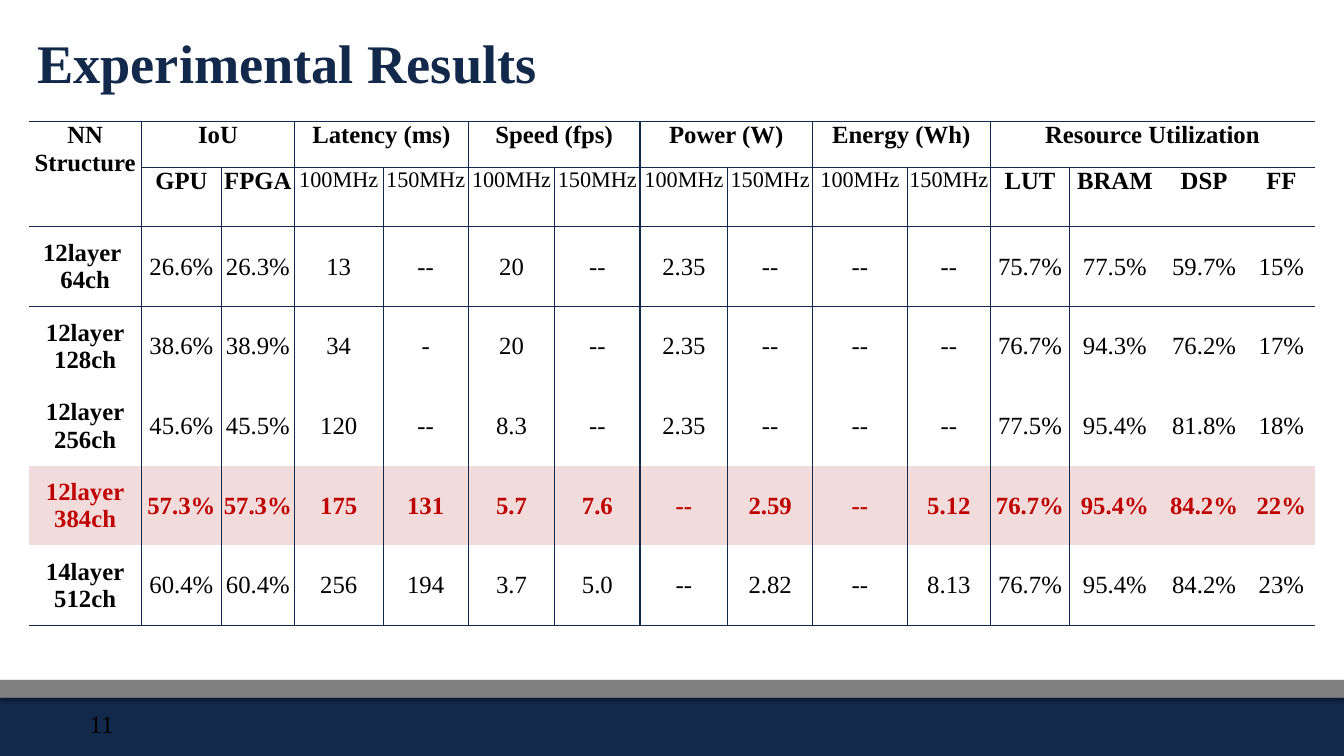
import pptx
import pptx.dml.color
import pptx.enum.shapes
import pptx.enum.text
import pptx.oxml
import pptx.oxml.ns
import pptx.util

Pt = pptx.util.Pt
Rgb = pptx.dml.color.RGBColor.from_string
Align = pptx.enum.text.PP_ALIGN
Anchor = pptx.enum.text.MSO_ANCHOR
HEX = {"navy": "13294B", "gray": "808080", "black": "000000",
       "red": "C00000", "pink": "F2DCDB"}
NS = pptx.oxml.ns.nsdecls("a")


def write(frame, text, align, **font):
    """Fill a text frame, one paragraph per line of text."""
    frame.text = text
    frame.word_wrap = True
    for par in frame.paragraphs:
        par.alignment = align
        run = par.runs[0]
        color = font.get("color", "black")
        run.font.color.rgb = Rgb(HEX[color])
        look = {"name": "Times New Roman", "size": Pt(font.get("size", 20)),
                "bold": font.get("bold", False)}
        for key, val in look.items():
            setattr(run.font, key, val)


def rule(cell, side):
    """Draw a thin navy border on one side: L, R, T or B."""
    cell._tc.get_or_add_tcPr().append(pptx.oxml.parse_xml(
        f'<a:ln{side} {NS} w="12700"><a:solidFill>'
        f'<a:srgbClr val="{HEX["navy"]}"/></a:solidFill></a:ln{side}>'))


deck = pptx.Presentation()
deck.slide_width, deck.slide_height = Pt(1088), Pt(612)
slide = deck.slides.add_slide(deck.slide_layouts[5])

# Footer bars
for top, high, color in [(564.5, 47.5, "navy"), (550.5, 14.4, "gray")]:
    bar = slide.shapes.add_shape(pptx.enum.shapes.MSO_SHAPE.RECTANGLE,
                                 Pt(0), Pt(top), Pt(1088), Pt(high))
    bar.fill.solid()
    bar.fill.fore_color.rgb = Rgb(HEX[color])
    bar.line.fill.background()
    bar.shadow.inherit = False
    glow = bar._element.spPr.find(pptx.oxml.ns.qn("a:effectLst"))
    glow.append(pptx.oxml.parse_xml(
        f'<a:outerShdw {NS} blurRad="39370" dist="22860" dir="5400000" '
        f'rotWithShape="0"><a:srgbClr val="{HEX["black"]}">'
        '<a:alpha val="35000"/></a:srgbClr></a:outerShdw>'))

page = slide.shapes.add_textbox(Pt(65.5), Pt(569.5), Pt(41.8), Pt(32.4))
write(page.text_frame, "11", Align.LEFT)
page.text_frame.vertical_anchor = Anchor.MIDDLE

title = slide.shapes.title
place = {"left": 23, "top": 21.6, "width": 532, "height": 56.9}
for key, val in place.items():
    setattr(title, key, Pt(val))
write(title.text_frame, "Experimental Results", Align.LEFT,
      size=44, bold=True, color="navy")
title.text_frame.vertical_anchor = Anchor.MIDDLE

# Results table
groups = [("NN Structure", 1), ("IoU", 2), ("Latency (ms)", 2),
          ("Speed (fps)", 2), ("Power (W)", 2), ("Energy (Wh)", 2),
          ("Resource Utilization", 4)]
rows = [
    ["", "GPU", "FPGA"] + ["100MHz", "150MHz"] * 4
    + ["LUT", "BRAM", "DSP", "FF"],
    ["12layer \n64ch", "26.6%", "26.3%", "13", "--", "20", "--", "2.35", "--",
     "--", "--", "75.7%", "77.5%", "59.7%", "15%"],
    ["12layer\n128ch", "38.6%", "38.9%", "34", "-", "20", "--", "2.35", "--",
     "--", "--", "76.7%", "94.3%", "76.2%", "17%"],
    ["12layer\n256ch", "45.6%", "45.5%", "120", "--", "8.3", "--", "2.35",
     "--", "--", "--", "77.5%", "95.4%", "81.8%", "18%"],
    ["12layer\n384ch", "57.3%", "57.3%", "175", "131", "5.7", "7.6", "--",
     "2.59", "--", "5.12", "76.7%", "95.4%", "84.2%", "22%"],
    ["14layer\n512ch", "60.4%", "60.4%", "256", "194", "3.7", "5.0", "--",
     "2.82", "--", "8.13", "76.7%", "95.4%", "84.2%", "23%"],
]
wide = [91.3, 64.6, 59.2, 71.8, 69, 70, 69, 71.2, 68.4, 77, 67, 64.3, 73.2,
        71.2, 54]
tall = [37.2, 29.5] + [64.5] * 5
best = 5

frame = slide.shapes.add_table(len(tall), len(wide), Pt(23.3), Pt(98.4),
                               Pt(sum(wide)), Pt(sum(tall)))
grid = frame.table
grid.first_row = grid.horz_banding = False
style = grid._tbl.tblPr.find(pptx.oxml.ns.qn("a:tableStyleId"))
style.text = "{2D5ABB26-0587-4C30-8999-92F81FD0307C}"
for col, size in zip(grid.columns, wide):
    col.width = Pt(size)
for row, size in zip(grid.rows, tall):
    row.height = Pt(size)

heads, starts = [], []
for name, span in groups:
    starts.append(len(heads))
    heads += [name] + [""] * (span - 1)

for r, row in enumerate([heads] + rows):
    for c, text in enumerate(row):
        cell = grid.cell(r, c)
        for side in ("left", "right", "top", "bottom"):
            setattr(cell, "margin_" + side, Pt(0))
        cell.vertical_anchor = Anchor.MIDDLE if r > 1 else Anchor.TOP
        clock = text.endswith("MHz")
        if text:
            write(cell.text_frame, text, Align.CENTER,
                  size=18 if clock else 20,
                  bold=not clock and (r < 2 or c == 0 or r == best),
                  color="red" if r == best else "black")
        edges = {"L": c in starts[1:], "R": c + 1 in starts,
                 "T": r in (0, 2) or r == 1 and c > 0,
                 "B": r in (1, 6) or r == 0 and c > 0}
        for side, drawn in edges.items():
            if drawn:
                rule(cell, side)
        if r == best:
            cell.fill.solid()
            cell.fill.fore_color.rgb = Rgb(HEX["pink"])
        else:
            cell.fill.background()

grid.cell(0, 0).merge(grid.cell(1, 0))
for start, (name, span) in zip(starts[1:], groups[1:]):
    grid.cell(0, start).merge(grid.cell(0, start + span - 1))

deck.save("out.pptx")
